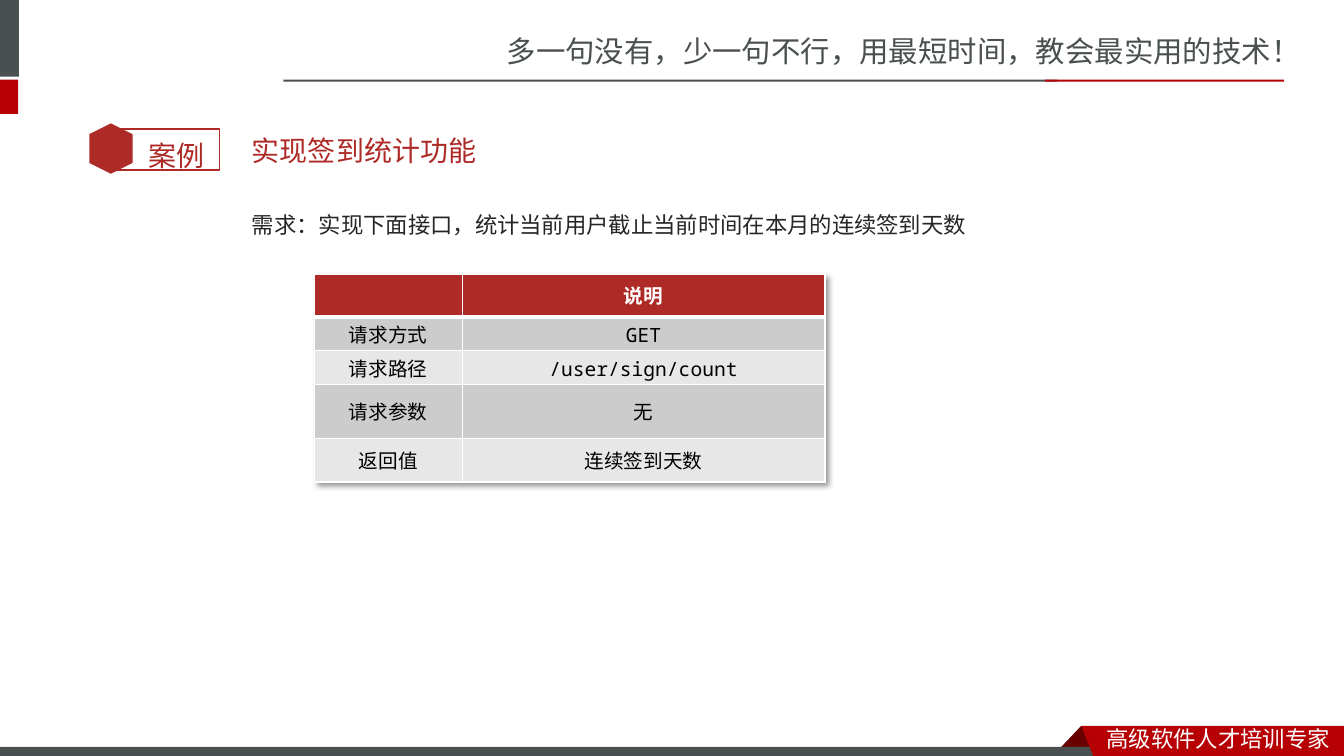
from lxml import etree
from pptx import Presentation
from pptx.dml.color import RGBColor
from pptx.enum.shapes import MSO_SHAPE
from pptx.enum.text import MSO_ANCHOR, PP_ALIGN
from pptx.oxml import parse_xml
from pptx.oxml.ns import nsdecls, qn
from pptx.util import Cm, Pt

RECT = MSO_SHAPE.RECTANGLE
HEX = MSO_SHAPE.HEXAGON
TOP = MSO_ANCHOR.TOP
MID = MSO_ANCHOR.MIDDLE
CENTER = PP_ALIGN.CENTER


def color(code):
    return RGBColor.from_string(code)


class Deck:
    """Holds the style and the current slide, and draws each kind of element."""

    gray, red, brick, dark = "49504F", "B60004", "AD2A26", "680000"
    white, black, ink = "FFFFFF", "000000", "262626"
    bands = ("CCCCCC", "E7E7E7")
    sans, mono = "Noto Sans CJK SC", "Noto Sans Mono"

    def __init__(self):
        self.prs = Presentation()
        self.prs.slide_width, self.prs.slide_height = Cm(33.87), Cm(19.05)
        self.slide = self.prs.slides.add_slide(self.prs.slide_layouts[6])

    def paint(self, shape, fill=None, line=None, width=1):
        shape.shadow.inherit = False
        if fill:
            shape.fill.solid()
            shape.fill.fore_color.rgb = color(fill)
        else:
            shape.fill.background()
        if line:
            shape.line.color.rgb = color(line)
            shape.line.width = Pt(width)
        else:
            shape.line.fill.background()

    def shape(self, kind, box, fill=None, line=None, turn=0):
        item = self.slide.shapes.add_shape(kind, *map(Cm, box))
        item.rotation = turn
        self.paint(item, fill, line)

    def free(self, points, fill):
        start, *rest = [(Cm(x), Cm(y)) for x, y in points]
        form = self.slide.shapes.build_freeform(*start, scale=1)
        form.add_line_segments(rest, close=True)
        self.paint(form.convert_to_shape(), fill)

    def run(self, para, words, size, tint, face, bold=False):
        run = para.add_run()
        run.text = words
        font = run.font
        font.size, font.bold, font.name = Pt(size), bold, face
        font.color.rgb = color(tint)
        east = etree.SubElement(run._r.get_or_add_rPr(), qn("a:ea"))
        east.set("typeface", face)

    def text(self, box, words, size, tint, face, space=None, anchor=TOP):
        frame = self.slide.shapes.add_textbox(*map(Cm, box)).text_frame
        frame.word_wrap = True
        frame.vertical_anchor = anchor
        para = frame.paragraphs[0]
        para.line_spacing = space
        self.run(para, words, size, tint, face)

    def edge(self, cell, base):
        props = cell._tc.get_or_add_tcPr()
        sides = {"lnL": 1, "lnR": 1, "lnT": 1, "lnB": base}
        for spot, (tag, width) in enumerate(sides.items()):
            props.insert(spot, parse_xml(
                f'<a:{tag} {nsdecls("a")} w="{Pt(width)}"><a:solidFill>'
                f'<a:srgbClr val="{self.white}"/></a:solidFill></a:{tag}>'))

    def table(self, spot, widths, heights, rows):
        size = sum(widths), sum(heights)
        frame = self.slide.shapes.add_table(
            len(rows), len(widths), *map(Cm, spot + size))
        grid = frame.table
        grid._tbl.tblPr.insert(0, parse_xml(
            f'<a:effectLst {nsdecls("a")}><a:outerShdw blurRad="50800" '
            'dist="38100" dir="2700000" algn="tl" rotWithShape="0">'
            '<a:srgbClr val="000000"><a:alpha val="40000"/></a:srgbClr>'
            '</a:outerShdw></a:effectLst>'))
        for col, width in zip(grid.columns, widths):
            col.width = Cm(width)
        for r, (height, row) in enumerate(zip(heights, rows)):
            grid.rows[r].height = Cm(height)
            head = r == 0
            for c, words in enumerate(row):
                cell = grid.cell(r, c)
                cell.fill.solid()
                cell.fill.fore_color.rgb = color(
                    self.brick if head else self.bands[(r - 1) % 2])
                cell.vertical_anchor = MID
                self.edge(cell, 3 if head or r == 0 else 1)
                para = cell.text_frame.paragraphs[0]
                para.alignment = CENTER
                if words:
                    tint = self.white if head else self.black
                    self.run(para, words, 14, tint, self.mono, head)

    def save(self):
        self.prs.save("out.pptx")


def main():
    deck = Deck()
    deck.text((12.52, 0.71, 21.35, 1.19),
              "多一句没有，少一句不行，用最短时间，教会最实用的技术！",
              21, deck.gray, deck.sans)
    deck.shape(RECT, (0, 0, 0.48, 1.93), deck.gray)
    deck.shape(RECT, (0, 2.01, 0.46, 0.86), deck.red)
    deck.shape(RECT, (7.14, 2.01, 19.5, 0.05), deck.gray)
    deck.shape(RECT, (26.34, 2.01, 6.02, 0.05), deck.red)

    deck.free([(27.25, 18.29), (27.81, 18.87), (26.7, 18.87)], deck.dark)
    deck.shape(RECT, (0, 18.82, 27.81, 0.23), deck.gray)
    deck.free([(27.25, 18.29), (33.87, 18.29), (33.87, 19.05),
               (27.55, 19.05)], deck.red)
    deck.text((27.64, 18.16, 6.23, 0.89), "高级软件人才培训专家",
              16, deck.white, deck.sans)

    deck.shape(RECT, (2.77, 3.25, 2.77, 1.04), line=deck.brick)
    deck.shape(HEX, (2.16, 3.2, 1.27, 1.09), deck.brick, turn=90)
    deck.text((3.5, 2.95, 2.16, 1.42), "案例", 20, deck.brick, "Arial", 1.5)
    deck.text((6.1, 3.07, 25.6, 1.45), "实现签到统计功能",
              20, deck.brick, "Roboto", anchor=MID)
    deck.text((6.1, 4.85, 25.6, 10.44),
              "需求：实现下面接口，统计当前用户截止当前时间在本月的连续签到天数",
              16, deck.ink, "Noto Sans CJK JP", 1.5)
    deck.table((7.92, 6.91), (3.73, 9.14), (1.07, 0.84, 0.86, 1.37, 1.09), [
        ("", "说明"),
        ("请求方式", "GET"),
        ("请求路径", "/user/sign/count"),
        ("请求参数", "无"),
        ("返回值", "连续签到天数"),
    ])
    deck.save()


if __name__ == "__main__":
    main()
